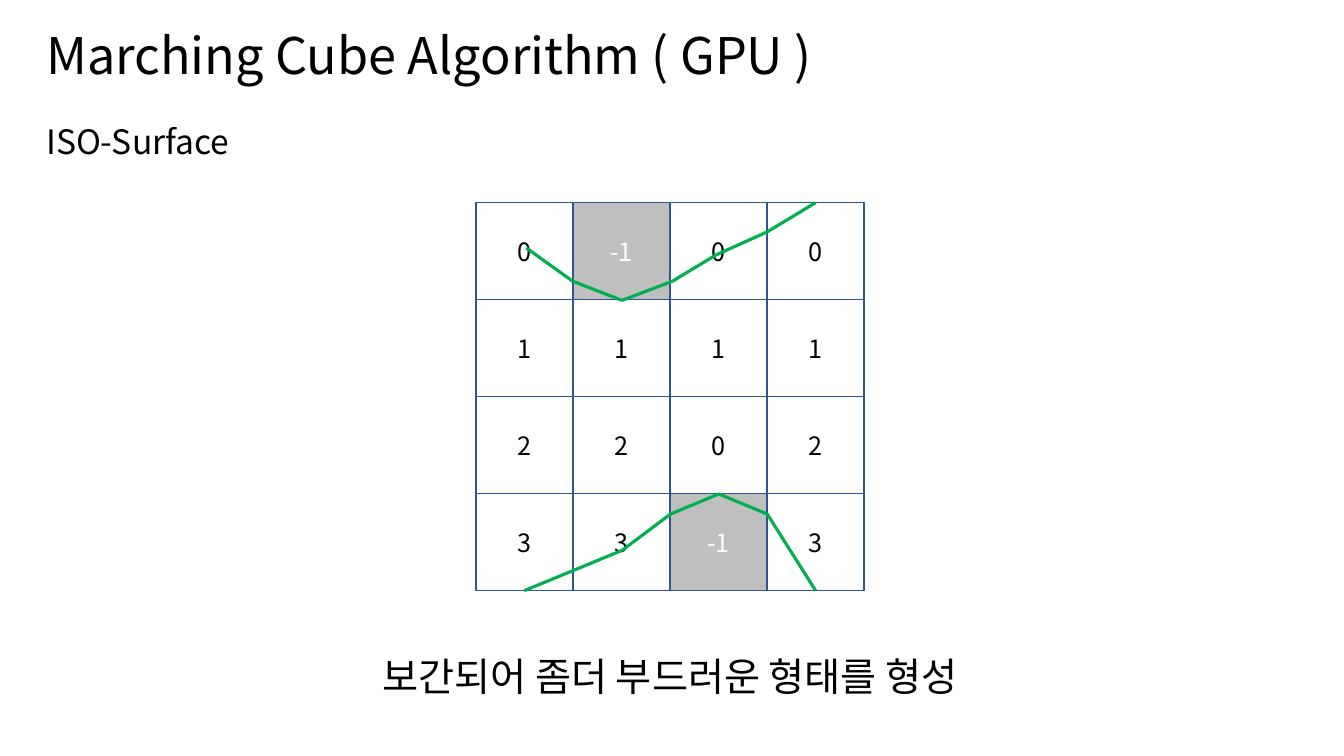
from itertools import pairwise

from lxml.etree import SubElement
from pptx import Presentation
from pptx.dml.color import RGBColor
from pptx.enum.shapes import MSO_CONNECTOR, MSO_SHAPE
from pptx.enum.text import MSO_ANCHOR, MSO_AUTO_SIZE, PP_ALIGN
from pptx.oxml.ns import qn
from pptx.util import Inches, Pt

FONT = "Noto Sans CJK KR"
BLACK = RGBColor(0x00, 0x00, 0x00)
WHITE = RGBColor(0xFF, 0xFF, 0xFF)
GRAY = RGBColor(0xBF, 0xBF, 0xBF)
BLUE = RGBColor(0x32, 0x54, 0x91)
GREEN = RGBColor(0x00, 0xB0, 0x50)


def write(shape, text, size, color=BLACK, alignment=PP_ALIGN.LEFT):
    """Fill a shape with one formatted paragraph and return the paragraph."""
    paragraph = shape.text_frame.paragraphs[0]
    paragraph.alignment = alignment
    run = paragraph.add_run()
    run.text = text
    font_format = {"name": FONT, "size": Pt(size), "bold": False}
    for attribute, value in font_format.items():
        setattr(run.font, attribute, value)
    run.font.color.rgb = color
    # Korean glyphs take the East Asian typeface
    SubElement(run.font._element, qn("a:ea"), typeface=FONT)
    return paragraph


presentation = Presentation()
presentation.slide_width = Inches(13.33)
presentation.slide_height = Inches(7.5)
slide = presentation.slides.add_slide(presentation.slide_layouts[5])

# Title
title = slide.shapes.title
title_box = {"left": 0.36, "top": 0, "width": 8.64, "height": 1.15}
for attribute, value in title_box.items():
    setattr(title, attribute, Inches(value))
title.text_frame.vertical_anchor = MSO_ANCHOR.MIDDLE
title.text_frame.auto_size = MSO_AUTO_SIZE.NONE
write(title, "Marching Cube Algorithm ( GPU )", 36).line_spacing = 0.9

# Subtitle
subtitle = slide.shapes.add_textbox(Inches(0.36), Inches(1.15), Inches(7.64), Inches(0.5))
subtitle.text_frame.word_wrap = True
subtitle.text_frame.auto_size = MSO_AUTO_SIZE.SHAPE_TO_FIT_TEXT
write(subtitle, "ISO-Surface", 24)

# Grid of density values, negative cells shaded
grid_values = [
    [0, -1, 0, 0],
    [1, 1, 1, 1],
    [2, 2, 0, 2],
    [3, 3, -1, 3],
]
grid_left, grid_top = Inches(4.72), Inches(2.01)
cell_size = Inches(3.85) // len(grid_values)
grid = slide.shapes.add_group_shape()
for row, values in enumerate(grid_values):
    for column, value in enumerate(values):
        cell = grid.shapes.add_shape(
            MSO_SHAPE.RECTANGLE,
            grid_left + column * cell_size,
            grid_top + row * cell_size,
            cell_size,
            cell_size,
        )
        cell.shadow.inherit = False
        cell.fill.solid()
        cell.fill.fore_color.rgb = GRAY if value < 0 else WHITE
        cell.line.color.rgb = BLUE
        cell.line.width = Pt(1)
        cell.text_frame.vertical_anchor = MSO_ANCHOR.MIDDLE
        write(cell, str(value), 18, WHITE if value < 0 else BLACK, PP_ALIGN.CENTER)

# Interpolated surface lines
surfaces = [
    [(5.22, 2.46), (5.68, 2.79), (6.17, 2.98), (6.67, 2.79),
     (7.1, 2.53), (7.61, 2.3), (8.09, 2.01)],
    [(5.2, 5.86), (6.17, 5.46), (6.65, 5.1), (7.13, 4.9),
     (7.61, 5.1), (8.09, 5.86)],
]
for points in surfaces:
    for start, end in pairwise(points):
        segment = slide.shapes.add_connector(
            MSO_CONNECTOR.STRAIGHT, *map(Inches, start + end)
        )
        segment.line.color.rgb = GREEN
        segment.line.width = Pt(2.25)
        SubElement(segment._element.spPr, qn("a:effectLst"))

# Caption
caption = slide.shapes.add_textbox(Inches(3.32), Inches(6.42), Inches(6.65), Inches(0.57))
caption.text_frame.word_wrap = False
caption.text_frame.auto_size = MSO_AUTO_SIZE.SHAPE_TO_FIT_TEXT
write(caption, "보간되어 좀더 부드러운 형태를 형성", 28, alignment=PP_ALIGN.CENTER)

presentation.save("out.pptx")
